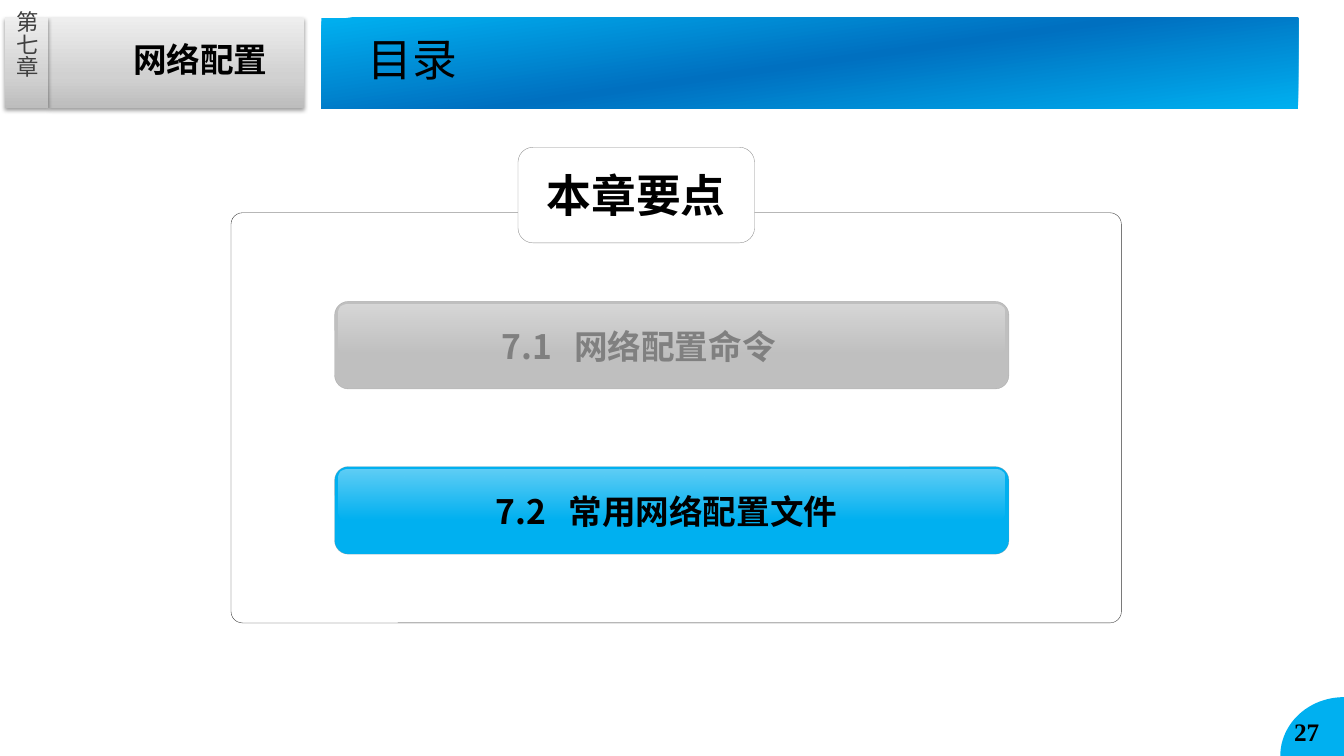
import math
from dataclasses import dataclass
from typing import Optional

import pptx
import pptx.dml.color
import pptx.enum.shapes
import pptx.enum.text
import pptx.oxml
import pptx.oxml.ns
import pptx.util

RGB = pptx.dml.color.RGBColor
Pt = pptx.util.Pt
SHAPE = pptx.enum.shapes.MSO_SHAPE
ALIGN = pptx.enum.text.PP_ALIGN
ANCHOR = pptx.enum.text.MSO_ANCHOR
qn = pptx.oxml.ns.qn

BLACK = RGB(0x00, 0x00, 0x00)
WHITE = RGB(0xFF, 0xFF, 0xFF)
CHARCOAL = RGB(0x40, 0x40, 0x40)
FRAME_GRAY = RGB(0x33, 0x33, 0x33)
EDGE_GRAY = RGB(0x96, 0x96, 0x96)
MUTED_TEXT = RGB(0x80, 0x80, 0x80)
MUTED_FILL = RGB(0xBF, 0xBF, 0xBF)
SKY = RGB(0x00, 0xB0, 0xF0)
BLUE = RGB(0x00, 0x70, 0xC0)
SILVER_DARK = RGB(0xBD, 0xBD, 0xBD)
SILVER_MID = RGB(0xD1, 0xD1, 0xD1)
SILVER_LIGHT = RGB(0xEE, 0xEE, 0xEE)

CJK = "Noto Sans CJK SC"
SERIF = "Times New Roman"
NS = 'xmlns:a="http://schemas.openxmlformats.org/drawingml/2006/main"'


@dataclass
class Box:
    x: float
    y: float
    w: float
    h: float

    def emu(self) -> tuple:
        return Pt(self.x), Pt(self.y), Pt(self.w), Pt(self.h)


@dataclass
class Stop:
    pos: int
    color: RGB
    opacity: int = 100


@dataclass
class Section:
    number: str
    name: str
    fill: RGB
    color: RGB
    label_x: float


SILVER = [Stop(0, SILVER_DARK), Stop(35, SILVER_MID), Stop(100, SILVER_LIGHT)]
BANNER = [Stop(0, SKY), Stop(50, BLUE), Stop(100, SKY)]
GLOSS = [Stop(0, WHITE, 38), Stop(100, WHITE, 0)]

SECTIONS = [
    Section("7.1", "网络配置命令", MUTED_FILL, MUTED_TEXT, 351),
    Section("7.2", "常用网络配置文件", SKY, BLACK, 347),
]
CARD_TOP, CARD_PITCH = 215.3, 118


def add_block(s, kind, box: Box, fill: Optional[RGB] = None,
              line: Optional[RGB] = None, radius: Optional[float] = None,
              line_opacity: int = 100):
    sp = s.shapes.add_shape(kind, *box.emu())
    sp.shadow.inherit = False
    if radius is not None:
        sp.adjustments[0] = radius
    if fill is None:
        sp.fill.background()
    else:
        sp.fill.solid()
        sp.fill.fore_color.rgb = fill
    if line is None:
        sp.line.fill.background()
    else:
        sp.line.color.rgb = line
        sp.line.width = Pt(0.25)
        clr = sp.line._get_or_add_ln().find(".//" + qn("a:srgbClr"))
        clr.append(pptx.oxml.parse_xml(
            f'<a:alpha {NS} val="{line_opacity * 1000}"/>'))
    return sp


def set_gradient(sp, stops: list, angle: int) -> None:
    gs = "".join(
        f'<a:gs pos="{st.pos * 1000}"><a:srgbClr val="{st.color}">'
        f'<a:alpha val="{st.opacity * 1000}"/></a:srgbClr></a:gs>'
        for st in stops)
    grad = pptx.oxml.parse_xml(
        f'<a:gradFill {NS} rotWithShape="1"><a:gsLst>{gs}</a:gsLst>'
        f'<a:lin ang="{angle * 60000}" scaled="0"/></a:gradFill>')
    sp_pr = sp._element.spPr
    sp_pr.replace(sp_pr.find(qn("a:noFill")), grad)


def set_shadow(sp) -> None:
    sp._element.spPr.find(qn("a:effectLst")).append(pptx.oxml.parse_xml(
        f'<a:outerShdw {NS} blurRad="{Pt(3.1)}" dist="{Pt(1.6)}" '
        f'dir="5400000" rotWithShape="0"><a:srgbClr val="000000">'
        f'<a:alpha val="38000"/></a:srgbClr></a:outerShdw>'))


def write(sp, text: str, size: float, color: RGB = BLACK, bold: bool = False,
          font: str = CJK, align=ALIGN.LEFT, anchor=ANCHOR.TOP,
          wrap: bool = True, inset: bool = True,
          tab: Optional[float] = None) -> None:
    tf = sp.text_frame
    tf.auto_size = pptx.enum.text.MSO_AUTO_SIZE.NONE
    tf.word_wrap = wrap
    tf.vertical_anchor = anchor
    if not inset:
        tf.margin_left = tf.margin_right = tf.margin_top = tf.margin_bottom = 0
    tf.text = text
    p = tf.paragraphs[0]
    p.alignment = align
    if tab is not None:
        p._p.get_or_add_pPr().append(pptx.oxml.parse_xml(
            f'<a:tabLst {NS}><a:tab pos="{Pt(tab)}" algn="l"/></a:tabLst>'))
    for r in p.runs:
        r.font.size = Pt(size)
        r.font.bold = bold
        r.font.name = font
        r.font.color.rgb = color
        r.font._element.find(qn("a:latin")).addnext(
            pptx.oxml.parse_xml(f'<a:ea {NS} typeface="{font}"/>'))


def add_label(s, box: Box, text: str, size: float, **style):
    sp = s.shapes.add_textbox(*box.emu())
    write(sp, text, size, **style)
    return sp


def add_card(s, section: Section, top: float) -> None:
    add_block(s, SHAPE.ROUNDED_RECTANGLE, Box(239, top, 481.7, 62.6),
              section.fill, EDGE_GRAY, 0.157, 57)
    gloss = add_block(s, SHAPE.ROUNDED_RECTANGLE,
                      Box(242, top + 2.2, 475.2, 35.3), radius=0.143)
    set_gradient(gloss, GLOSS, 90)
    add_label(s, Box(section.label_x, top + 5, 301, 54),
              f"{section.number}\t{section.name}", 24, color=section.color,
              bold=True, anchor=ANCHOR.MIDDLE, tab=52)


def add_page_corner(s) -> None:
    cx, cy, rx, ry, steps = 960, 540, 45.5, 42, 24
    arc = [(cx - rx * math.cos(i * math.pi / 2 / steps),
            cy - ry * math.sin(i * math.pi / 2 / steps))
           for i in range(steps + 1)]
    fb = s.shapes.build_freeform(Pt(cx), Pt(cy))
    fb.add_line_segments([(Pt(x), Pt(y)) for x, y in arc])
    sp = fb.convert_to_shape()
    sp.shadow.inherit = False
    sp.fill.solid()
    sp.fill.fore_color.rgb = SKY
    sp.line.fill.background()


def main() -> None:
    prs = pptx.Presentation()
    prs.slide_width, prs.slide_height = Pt(960), Pt(540)
    s = prs.slides.add_slide(prs.slide_layouts[5])

    # Chapter tabs
    for box in (Box(34.6, 12.6, 182.6, 64.4), Box(3.6, 12.4, 31, 64.6)):
        tab = add_block(s, SHAPE.RECTANGLE, box)
        set_gradient(tab, SILVER, 270)
        set_shadow(tab)
    add_label(s, Box(88, 24.5, 129, 38), "网络配置", 24, bold=True)
    chapter = add_label(s, Box(8.6, 7.9, 20.9, 75.6), "第七章", 16,
                        color=CHARCOAL, align=ALIGN.CENTER,
                        anchor=ANCHOR.MIDDLE, inset=False)
    chapter.text_frame._txBody.bodyPr.set("vert", "eaVert")

    # Page number
    add_page_corner(s)
    add_label(s, Box(917.3, 508.3, 42, 29), "27", 18, bold=True, font=SERIF)

    # Title banner
    banner = add_block(s, SHAPE.RECTANGLE, Box(229.5, 12.8, 697.7, 65))
    set_gradient(banner, BANNER, 262)
    title = s.shapes.title
    title.left, title.top, title.width, title.height = Box(
        262.8, 23, 89.3, 44).emu()
    write(title, "目录", 32, inset=False)
    banner._element.addnext(title._element)

    # Key points frame and its heading
    add_block(s, SHAPE.ROUNDED_RECTANGLE, Box(165, 152, 636, 293),
              line=FRAME_GRAY, radius=0.028)
    heading = add_block(s, SHAPE.ROUNDED_RECTANGLE, Box(370, 105.2, 169, 68.3),
                        WHITE, FRAME_GRAY, 0.157, 57)
    write(heading, "本章要点", 32, bold=True, align=ALIGN.CENTER,
          anchor=ANCHOR.MIDDLE, wrap=False)

    # Section cards
    for i, section in enumerate(SECTIONS):
        add_card(s, section, CARD_TOP + i * CARD_PITCH)

    prs.save("out.pptx")


if __name__ == "__main__":
    main()
